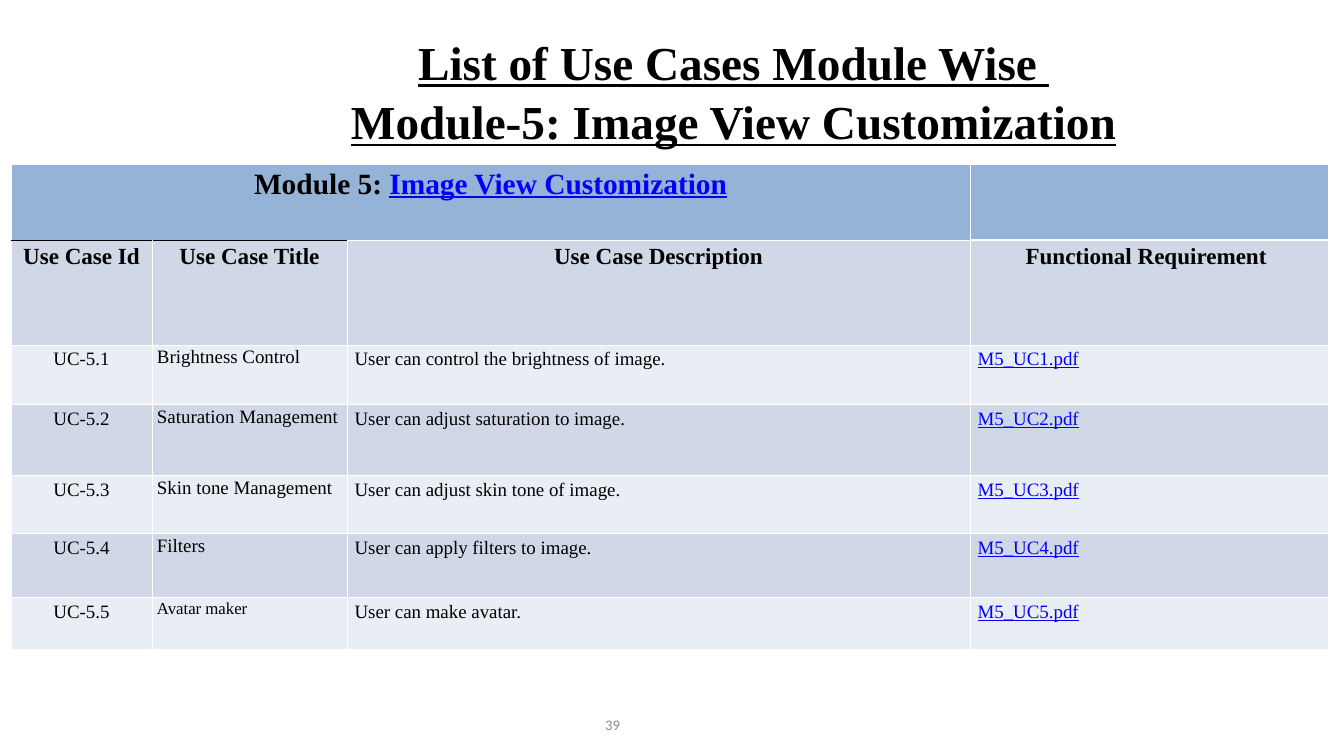
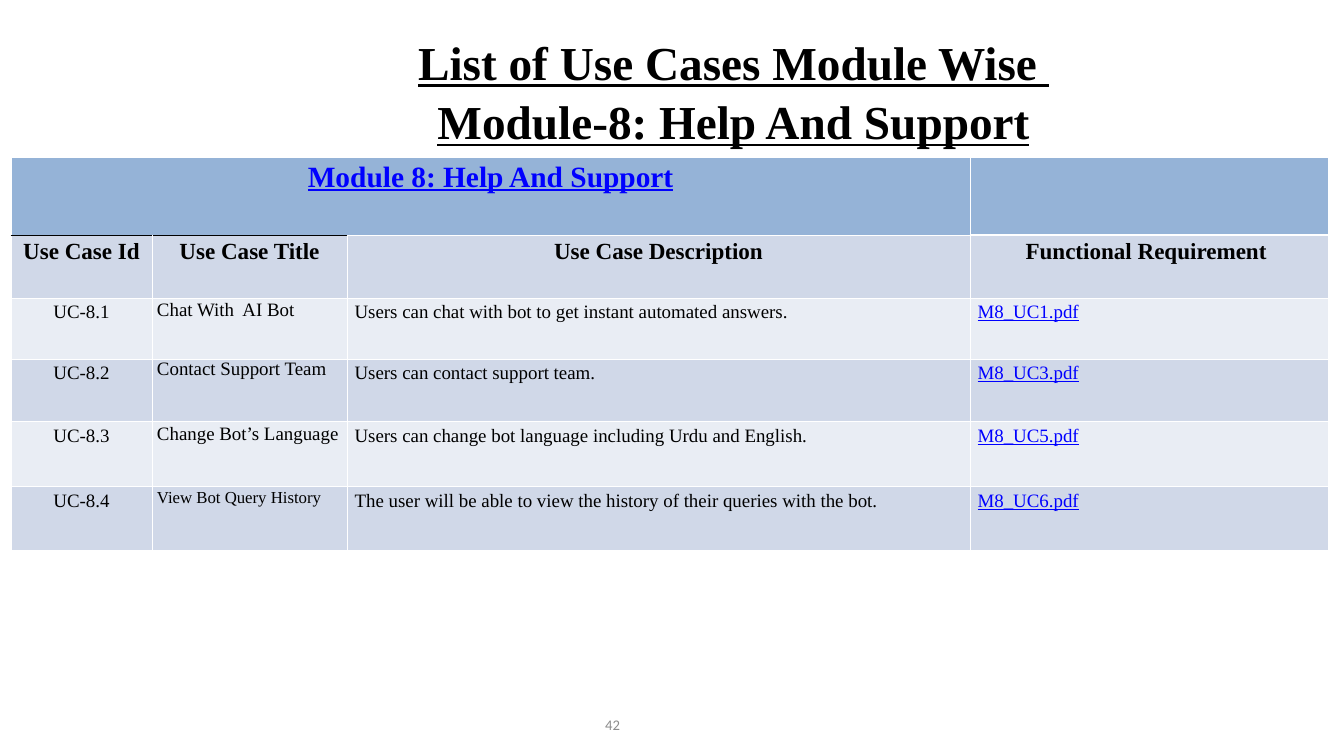
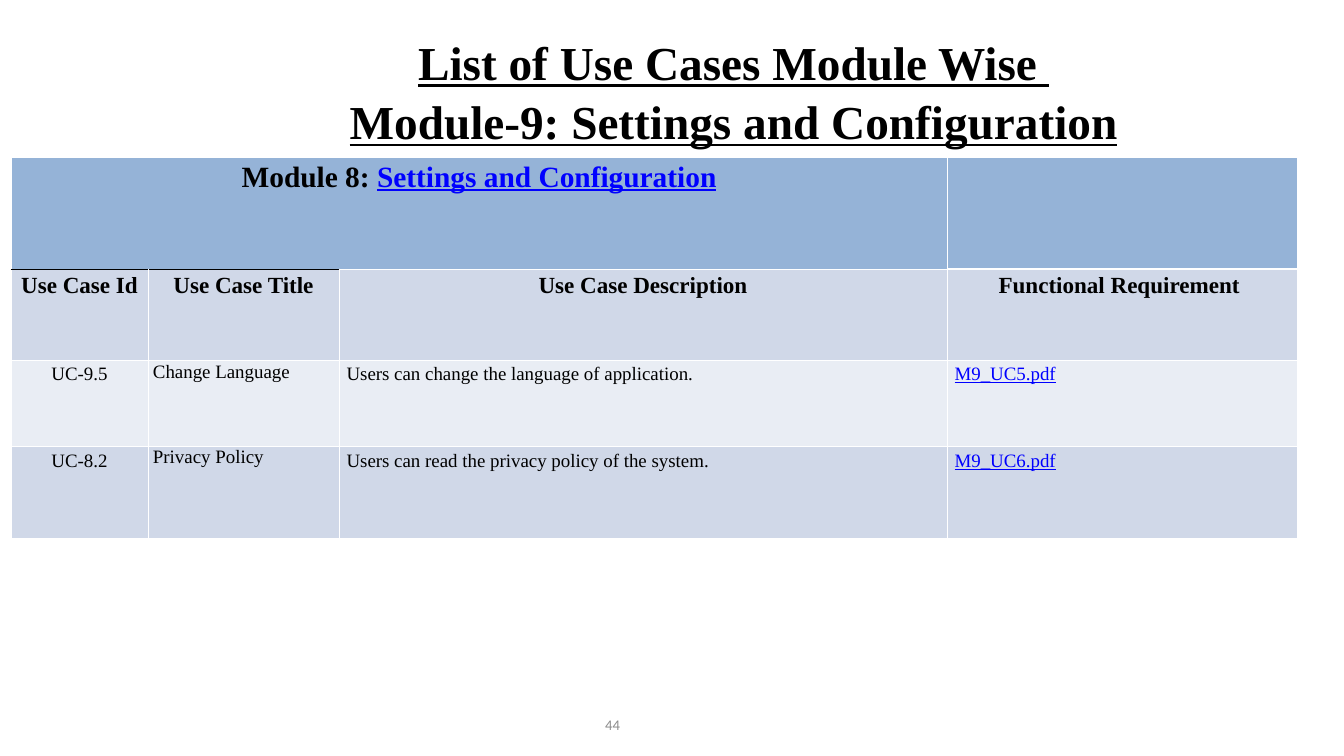
from dataclasses import dataclass

from lxml import etree
from pptx import Presentation
from pptx import util as u
from pptx.dml.color import RGBColor
from pptx.enum import text
from pptx.oxml.ns import qn

PX = 12095  # EMU in one px
WIDTH, HEIGHT = 1344, 756

BLACK = RGBColor(0x00, 0x00, 0x00)
WHITE = RGBColor(0xFF, 0xFF, 0xFF)
LINK = RGBColor(0x00, 0x00, 0xFF)
GREY = RGBColor(0x8C, 0x8C, 0x8C)
HEAD = RGBColor(0x95, 0xB3, 0xD7)
BANDS = (RGBColor(0xE9, 0xED, 0xF4), RGBColor(0xD0, 0xD8, 0xE8))

SERIF, SANS = "Times New Roman", "Calibri"
LEFT, CENTER, RIGHT, JUSTIFY = (
    text.PP_ALIGN.LEFT, text.PP_ALIGN.CENTER, text.PP_ALIGN.RIGHT, text.PP_ALIGN.JUSTIFY)

TITLE_BOX = (222, 26, 1023, 95)
NUMBER_BOX = (572, 705, 56, 40)
COLUMNS = ("Use Case Id", "Use Case Title", "Use Case Description", "Functional Requirement ")
WIDE_COLS = (141, 195, 623, 358)
NARROW_COLS = (137, 191, 608, 350)


@dataclass
class UseCase:
    id: str
    title: str
    description: str
    document: str
    title_size: int = 18
    title_spacing: float = 1.07


@dataclass
class Module:
    number: str
    title: str
    prefix: str
    link: str
    top: int
    cols: tuple
    rows: tuple
    cases: tuple


MODULES = (
    Module("39", "Module-5: Image View Customization", "Module 5: ",
           "Image View Customization", 164, WIDE_COLS, (76, 105, 60, 71, 58, 64, 52), (
               UseCase("UC-5.1", "Brightness Control",
                       "User can control the brightness of image.", "M5_UC1.pdf"),
               UseCase("UC-5.2", "Saturation Management",
                       "User can adjust saturation to image.", "M5_UC2.pdf"),
               UseCase("UC-5.3", "Skin tone Management",
                       "User can adjust skin tone of image.", "M5_UC3.pdf"),
               UseCase("UC-5.4", "Filters",
                       "User can apply filters to image.", "M5_UC4.pdf"),
               UseCase("UC-5.5", "Avatar maker",
                       "User can make avatar.", "M5_UC5.pdf", 16))),
    Module("42", "Module-8: Help And Support", "",
           "Module 8: Help And Support", 157, WIDE_COLS, (78, 63, 61, 63, 65, 64), (
               UseCase("UC-8.1", "Chat With  AI Bot",
                       "Users can chat with bot to get instant automated answers.", "M8_UC1.pdf"),
               UseCase("UC-8.2", "Contact Support Team",
                       "Users can contact support team.", "M8_UC3.pdf", 18, 1.0),
               UseCase("UC-8.3", "Change Bot’s Language",
                       "Users can change bot language including Urdu and English.", "M8_UC5.pdf"),
               UseCase("UC-8.4", "View Bot Query History",
                       "The user will be able to view the history of their queries with the bot.",
                       "M8_UC6.pdf", 16))),
    Module("44", "Module-9: Settings and Configuration", "Module 8: ",
           "Settings and Configuration", 157, NARROW_COLS, (112, 91, 87, 92), (
               UseCase("UC-9.5", "Change Language",
                       "Users can change the language of application.", "M9_UC5.pdf"),
               UseCase("UC-8.2", "Privacy Policy",
                       "Users can read the privacy policy of the system.",
                       "M9_UC6.pdf", 18, 1.0))),
)


def px(n):
    return u.Emu(n * PX)


def style(font, size, color=BLACK, name=SERIF, bold=False, underline=False):
    font.name, font.size, font.bold, font.underline = name, u.Pt(size), bold, underline
    font.color.rgb = color


def write(tf, words, size, align, **font):
    p = tf.paragraphs[0]
    p.text = words
    p.alignment = align
    style(p.font, size, **font)
    return p


def place(sp, box):
    sp.left, sp.top, sp.width, sp.height = map(px, box)


def set_insets(tf):
    tf.margin_left = tf.margin_right = px(8)
    tf.margin_top = tf.margin_bottom = px(4)


def border(cell, **sides):
    """Outline a cell; sides override the thin white line with (colour, points)."""
    tcPr = cell._tc.get_or_add_tcPr()
    for i, side in enumerate("LRTB"):
        color, points = sides.get(side, (WHITE, 1))
        ln = etree.Element(qn("a:ln" + side), w=str(u.Pt(points)))
        fill = etree.SubElement(ln, qn("a:solidFill"))
        etree.SubElement(fill, qn("a:srgbClr"), val=str(color))
        tcPr.insert(i, ln)


def add_title(s, box, module):
    sp = s.shapes.title
    place(sp, box)
    tf = sp.text_frame
    tf.auto_size = text.MSO_AUTO_SIZE.NONE
    tf.vertical_anchor = text.MSO_ANCHOR.TOP
    set_insets(tf)
    p = write(tf, "List of Use Cases Module Wise \v" + module.title, 45, CENTER,
              bold=True, underline=True)
    p.line_spacing = 1.05


def add_number(s, box, number):
    tf = s.shapes.add_textbox(*map(px, box)).text_frame
    tf.word_wrap = True
    tf.vertical_anchor = text.MSO_ANCHOR.MIDDLE
    set_insets(tf)
    write(tf, number, 14, RIGHT, color=GREY, name=SANS)


def add_heading(table, module):
    table.cell(0, 0).merge(table.cell(0, 2))
    p = table.cell(0, 0).text_frame.paragraphs[0]
    p.alignment = CENTER
    for words, color in ((module.prefix, BLACK), (module.link, LINK)):
        if words:
            r = p.add_run()
            r.text = words
            style(r.font, 28, color, bold=True, underline=color == LINK)


def add_case(cells, case):
    write(cells[0].text_frame, case.id, 18, CENTER)
    title = cells[1]
    title.margin_left = title.margin_right = px(5)
    title.margin_top = title.margin_bottom = 0
    p = write(title.text_frame, case.title, case.title_size, LEFT)
    p.line_spacing = case.title_spacing
    write(cells[2].text_frame, case.description, 18, JUSTIFY)
    write(cells[3].text_frame, case.document, 18, JUSTIFY, color=LINK, underline=True)


def add_use_cases(s, left, module):
    box = (left, module.top, sum(module.cols), sum(module.rows))
    table = s.shapes.add_table(len(module.rows), len(COLUMNS), *map(px, box)).table
    table.first_row = table.horz_banding = False
    for col, width in zip(table.columns, module.cols):
        col.width = px(width)
    for row, height in zip(table.rows, module.rows):
        row.height = px(height)

    # Fills and lines
    black, thick = (BLACK, 1), (WHITE, 3)
    lines = {(0, 0): {"B": black}, (0, 1): {"B": black}, (0, 3): {"B": thick},
             (1, 0): {"T": black}, (1, 1): {"T": black}, (1, 3): {"T": thick}}
    for i in range(len(module.rows)):
        for j in range(len(COLUMNS)):
            cell = table.cell(i, j)
            cell.fill.solid()
            cell.fill.fore_color.rgb = BANDS[i % 2] if i else HEAD
            border(cell, **lines.get((i, j), {}))

    # Words
    add_heading(table, module)
    for j, name in enumerate(COLUMNS):
        write(table.cell(1, j).text_frame, name, 22, CENTER, bold=True)
    for i, case in enumerate(module.cases, 2):
        add_case(table.rows[i].cells, case)


def main():
    prs = Presentation()
    prs.slide_width, prs.slide_height = px(WIDTH), px(HEIGHT)
    for module in MODULES:
        s = prs.slides.add_slide(prs.slide_layouts[5])
        add_number(s, NUMBER_BOX, module.number)
        add_title(s, TITLE_BOX, module)
        add_use_cases(s, 11, module)
    prs.save("out.pptx")


if __name__ == "__main__":
    main()
